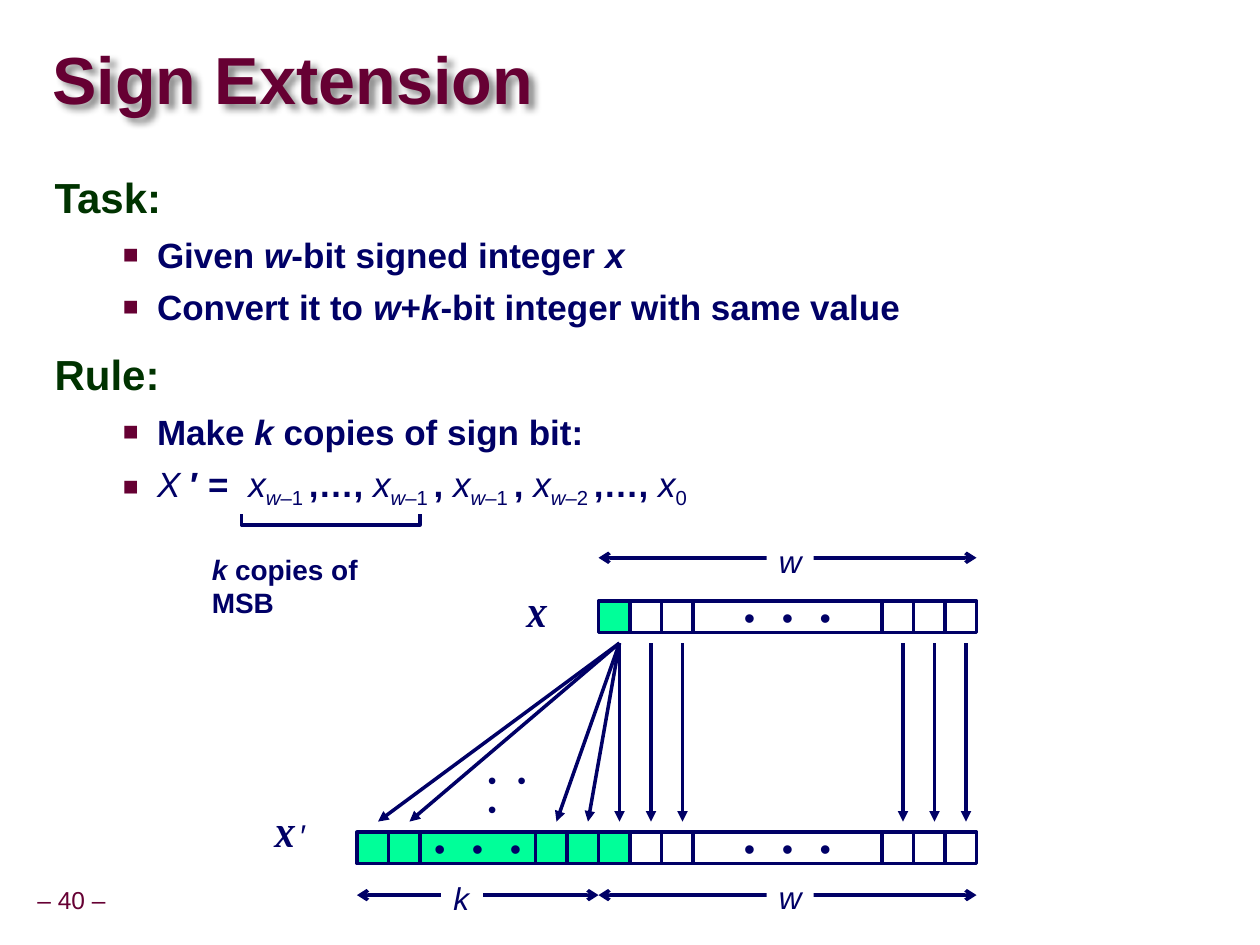
"""Build the Sign Extension slide: rule text above a bit-copying diagram."""
from pptx import Presentation, util as u
from pptx.dml.color import RGBColor
from pptx.enum import shapes, text
from pptx.oxml import parse_xml
from pptx.oxml.ns import nsdecls, qn

NAVY = RGBColor(0x00, 0x00, 0x66)
MAROON = RGBColor(0x66, 0x00, 0x33)
FOREST = RGBColor(0x00, 0x33, 0x00)
MINT = RGBColor(0x00, 0xFF, 0x99)
WHITE = RGBColor(0xFF, 0xFF, 0xFF)
ARIAL, CAMBRIA, COURIER = "Arial", "Cambria", "Courier New"
DOTS = "• • •"

# Style letters: b bold, i italic, s subscript
BODY = [
    (0, [("Task:", "b")]),
    (1, [("Given ", "b"), ("w", "bi"), ("-bit signed integer ", "b"), ("x", "bi")]),
    (1, [("Convert it to ", "b"), ("w", "bi"), ("+", "b"), ("k", "bi"),
         ("-bit integer with same value", "b")]),
    (0, [("Rule:", "b")]),
    (1, [("Make ", "b"), ("k", "bi"), (" copies of sign bit:", "b")]),
    (1, [("X ", "i"), ("′ =  ", "b"),
         ("x", "i"), ("w", "is"), ("–1 ", "s"), (",…, ", "b"),
         ("x", "i"), ("w", "is"), ("–1 ", "s"), (", ", "b"),
         ("x", "i"), ("w", "is"), ("–1 ", "s"), (", ", "b"),
         ("x", "i"), ("w", "is"), ("–2 ", "s"), (",…, ", "b"),
         ("x", "i"), ("0", "s")]),
]
LEVELS = [dict(size=24, color=FOREST, left=40, hang=40, before=14),
          dict(size=20, color=NAVY, left=78, hang=26, before=5.75)]

BIT, SIGN_X, RIGHT, COPY_X = 24, 456, 744, 272
X_TOP, XP_TOP = 458, 634
ARROW_TOP, ARROW_BOTTOM, ARROW_DX = 490, 626, 16
X_BITS = [SIGN_X + BIT * n for n in range(3)] + [RIGHT - BIT * n for n in (3, 2, 1)]
K_BITS = [COPY_X, COPY_X + BIT, SIGN_X - 2 * BIT, SIGN_X - BIT]
X_GAP = (528, 144)
K_GAP = (320, 88)
BRACKET = [(184, 392), (184, 400), (320, 400), (320, 392)]
SPANS = [(SIGN_X, RIGHT, 425, "w", (584, 408, 36, 38)),
         (SIGN_X, RIGHT, 682, "w", (584, 664, 36, 38)),
         (COPY_X, SIGN_X, 682, "k", (336, 665, 32, 38))]
LABELS = [
    ((152, 416, 183, 34), 16, [("k", "bi", ARIAL), (" copies of MSB", "b", ARIAL)]),
    ((392, 449, 41, 38), 18, [("X", "bi", CAMBRIA)]),
    ((200, 617, 47, 38), 18, [("X ", "bi", CAMBRIA), ("′", "", ARIAL)]),
    ((360, 578, 75, 32), 14, [(DOTS, "", COURIER)]),
]


def px(*values):
    return [u.Emu(round(v * 9525)) for v in values]


def add_run(p, words, style, size, color, face=ARIAL):
    r = p.add_run()
    r.text = words
    f = r.font
    f.name, f.size, f.color.rgb = face, u.Pt(size), color
    f.bold, f.italic = "b" in style, "i" in style
    if "s" in style:
        r._r.get_or_add_rPr().set("baseline", "-25000")


def place(sp, box):
    sp.left, sp.top, sp.width, sp.height = px(*box)


def add_label(s, box, size, runs, color=NAVY):
    sp = s.shapes.add_textbox(*px(*box))
    sp.text_frame.word_wrap = False
    for words, style, face in runs:
        add_run(sp.text_frame.paragraphs[0], words, style, size, color, face)
    return sp


def add_cell(s, left, top, fill, width=BIT, dots=False):
    sp = s.shapes.add_shape(shapes.MSO_SHAPE.RECTANGLE, *px(left, top, width, BIT))
    sp.shadow.inherit = False
    sp.fill.solid()
    sp.fill.fore_color.rgb = fill
    sp.line.color.rgb, sp.line.width = NAVY, u.Pt(2)
    if dots:
        tf = sp.text_frame
        tf.word_wrap, tf.vertical_anchor = False, text.MSO_ANCHOR.MIDDLE
        p = tf.paragraphs[0]
        p.alignment = text.PP_ALIGN.CENTER
        add_run(p, DOTS, "", 18, NAVY, COURIER)


def add_arrow(s, x1, y1, x2, y2, **ends):
    c = s.shapes.add_connector(shapes.MSO_CONNECTOR.STRAIGHT, *px(x1, y1, x2, y2))
    c.line.color.rgb, c.line.width = NAVY, u.Pt(2)
    ln = c.line._get_or_add_ln()
    for end, kind in ends.items():
        ln.append(parse_xml(f'<a:{end} {nsdecls("a")} type="{kind}"/>'))
    c._element.spPr.append(parse_xml(f'<a:effectLst {nsdecls("a")}/>'))


def fill_title(sp):
    place(sp, (40, 34, 641, 59))
    tf = sp.text_frame
    tf.margin_left = tf.margin_top = tf.margin_right = tf.margin_bottom = 0
    tf.auto_size, tf.vertical_anchor = text.MSO_AUTO_SIZE.NONE, text.MSO_ANCHOR.MIDDLE
    p = tf.paragraphs[0]
    p.alignment, p.line_spacing = text.PP_ALIGN.LEFT, 0.87
    add_run(p, "Sign Extension", "b", 38, MAROON)
    sp._element.spPr.append(parse_xml(
        f'<a:effectLst {nsdecls("a")}><a:outerShdw blurRad="50800" dist="50800" dir="2700000">'
        '<a:srgbClr val="000000"><a:alpha val="45000"/></a:srgbClr></a:outerShdw></a:effectLst>'))


def fill_body(sp):
    place(sp, (32, 129, 871, 548))
    tf = sp.text_frame
    tf.auto_size = text.MSO_AUTO_SIZE.NONE
    for n, (level, runs) in enumerate(BODY):
        p = tf.add_paragraph() if n else tf.paragraphs[0]
        look = LEVELS[level]
        p.level = level
        p.line_spacing = 1.0 if level else 0.95
        p.space_before = u.Pt(look["before"] if n else 0)
        pPr = p._p.get_or_add_pPr()
        left, hang = px(look["left"], look["hang"])
        pPr.set("marL", str(left))
        pPr.set("indent", str(-hang))
        bullet = ([f'<a:buClr {nsdecls("a")}><a:srgbClr val="{MAROON}"/></a:buClr>',
                   f'<a:buSzPct {nsdecls("a")} val="75000"/>',
                   f'<a:buFont {nsdecls("a")} typeface="{ARIAL}"/>',
                   f'<a:buChar {nsdecls("a")} char="■"/>']
                  if level else [f'<a:buNone {nsdecls("a")}/>'])
        for xml in bullet:
            pPr.append(parse_xml(xml))
        for words, style in runs:
            add_run(p, words, style, look["size"], look["color"])


def add_bits(s):
    for top in (X_TOP, XP_TOP):
        for left in X_BITS:
            add_cell(s, left, top, MINT if left == SIGN_X else WHITE)
        add_cell(s, X_GAP[0], top, WHITE, X_GAP[1], dots=True)
    for left in K_BITS:
        add_cell(s, left, XP_TOP, MINT)
    add_cell(s, K_GAP[0], XP_TOP, MINT, K_GAP[1], dots=True)
    for left in K_BITS + X_BITS:
        add_arrow(s, max(left, SIGN_X) + ARROW_DX, ARROW_TOP,
                  left + ARROW_DX, ARROW_BOTTOM, tailEnd="triangle")


def main():
    prs = Presentation()
    prs.slide_width, prs.slide_height = px(960, 720)
    s = prs.slides.add_slide(prs.slide_layouts[1])
    fill_title(s.shapes.title)
    fill_body(s.placeholders[1])

    number = add_label(s, (23, 672, 63, 30), 14, [("– 40 –", "", ARIAL)], MAROON)
    tf = number.text_frame
    tf.margin_left = tf.margin_right = u.Inches(0.05)
    tf.vertical_anchor = text.MSO_ANCHOR.MIDDLE
    tf.paragraphs[0].alignment = text.PP_ALIGN.CENTER
    tf.paragraphs[0].line_spacing = 0.9

    fb = s.shapes.build_freeform(*px(*BRACKET[0]), scale=1.0)
    fb.add_line_segments([px(*point) for point in BRACKET[1:]], close=False)
    bracket = fb.convert_to_shape()
    bracket.shadow.inherit = False
    bracket.fill.background()
    bracket.line.color.rgb, bracket.line.width = NAVY, u.Pt(2)

    add_bits(s)
    for box, size, runs in LABELS:
        add_label(s, box, size, runs)
    for x1, x2, y, name, box in SPANS:
        add_arrow(s, x1, y, x2, y, headEnd="arrow", tailEnd="arrow")
        sp = add_label(s, box, 18, [(name, "i", ARIAL)])
        sp.fill.solid()
        sp.fill.fore_color.rgb = WHITE
    prs.save("out.pptx")


if __name__ == "__main__":
    main()
